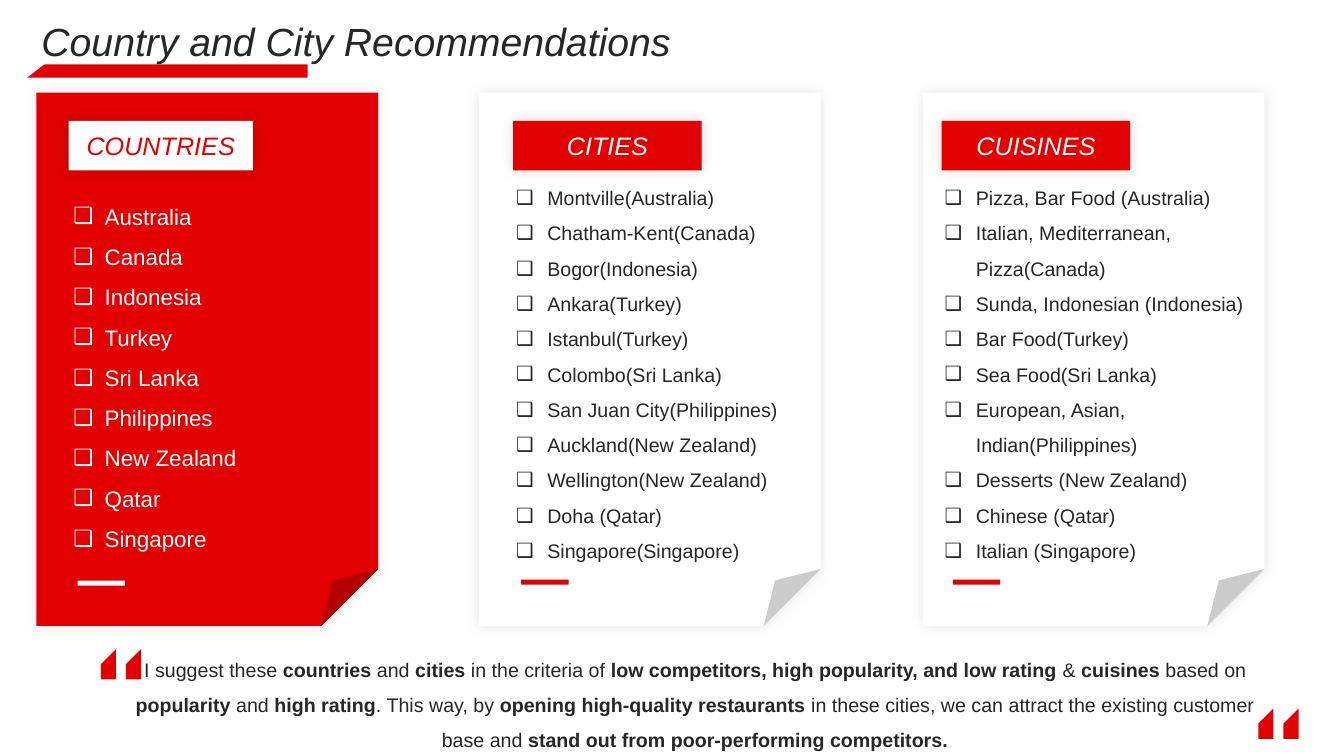
import pptx
import pptx.util
import pptx.dml.color
import pptx.enum.shapes
import pptx.enum.text
import pptx.oxml.ns
from lxml import etree

PX = 9144  # EMU per px, 100 px to the inch
COLORS = {"red": "E20000", "white": "FFFFFF", "ink": "262626", "shadow": "000000"}
FONT = "Arial"
SHAPE = pptx.enum.shapes.MSO_SHAPE
ALIGN = pptx.enum.text.PP_ALIGN
ANCHOR = pptx.enum.text.MSO_ANCHOR

COUNTRIES = ["Australia", "Canada", "Indonesia", "Turkey", "Sri Lanka",
             "Philippines", "New Zealand", "Qatar", "Singapore"]
CITIES = ["Montville(Australia)", "Chatham-Kent(Canada)", "Bogor(Indonesia)",
          "Ankara(Turkey)", "Istanbul(Turkey)", "Colombo(Sri Lanka)",
          "San Juan City(Philippines)", "Auckland(New Zealand)",
          "Wellington(New Zealand)", "Doha (Qatar)", "Singapore(Singapore)"]
CUISINES = ["Pizza, Bar Food (Australia)", "Italian, Mediterranean, Pizza(Canada)",
            "Sunda, Indonesian (Indonesia)", "Bar Food(Turkey)",
            "Sea Food(Sri Lanka)", "European, Asian, Indian(Philippines)",
            "Desserts (New Zealand)", "Chinese (Qatar)", "Italian (Singapore)"]

# Regular and bold runs alternate, starting with regular
SUGGESTION = ["I suggest these ", "countries", " and ", "cities",
              " in the criteria of ",
              "low competitors, high popularity, and low rating ", "&",
              " cuisines ", "based on ", "popularity", " and ", "high rating",
              ". This way, by ", "opening high-quality restaurants ",
              "in these cities, we can attract the existing customer base and",
              " stand out from poor-performing competitors."]


def rgb(name):
    return pptx.dml.color.RGBColor.from_string(COLORS[name])


def px(*lengths):
    return [length * PX for length in lengths]


def format_run(r, size, color, bold=False, italic=False):
    r.font.name = FONT
    r.font.size = pptx.util.Pt(size)
    r.font.color.rgb = rgb(color)
    r.font.bold = bold
    r.font.italic = italic


def paint(sp, color):
    sp.fill.solid()
    sp.fill.fore_color.rgb = rgb(color)
    sp.line.fill.background()
    sp.shadow.inherit = False


def add_shadow(sp, alpha, blur=10):
    effects = sp._element.spPr.find(pptx.oxml.ns.qn("a:effectLst"))
    shadow = etree.SubElement(effects, pptx.oxml.ns.qn("a:outerShdw"),
                              blurRad=str(pptx.util.Pt(blur)), dist="0", dir="0",
                              algn="ctr", rotWithShape="0")
    color = etree.SubElement(shadow, pptx.oxml.ns.qn("a:srgbClr"),
                             val=COLORS["shadow"])
    etree.SubElement(color, pptx.oxml.ns.qn("a:alpha"), val=str(alpha * 1000))


def add_box(s, kind, box, color):
    sp = s.shapes.add_shape(kind, *px(*box))
    paint(sp, color)
    return sp


def add_polygon(s, outlines, color):
    builder = None
    for start, *rest in outlines:
        if builder is None:
            builder = s.shapes.build_freeform(*start, scale=PX)
        else:
            builder.move_to(*start)
        builder.add_line_segments(rest, close=True)
    paint(builder.convert_to_shape(), color)


def add_title(s, text):
    title = s.shapes.title
    title.left, title.top, title.width, title.height = px(27, 12, 652, 57)
    tf = title.text_frame
    tf.text = text
    tf.word_wrap = False
    tf.auto_size = pptx.enum.text.MSO_AUTO_SIZE.NONE
    tf.vertical_anchor = ANCHOR.TOP
    p = tf.paragraphs[0]
    p.alignment = ALIGN.CENTER
    format_run(p.runs[0], 28, "ink", italic=True)


def add_text_box(s, box):
    tf = s.shapes.add_textbox(*px(*box)).text_frame
    tf.word_wrap = True
    return tf


def add_checklist(s, box, items, size, color):
    tf = add_text_box(s, box)
    tf.text = "\n".join(items)
    for p in tf.paragraphs:
        p.line_spacing = 1.5
        format_run(p.runs[0], size, color)
        pPr = p._p.get_or_add_pPr()
        pPr.set("marL", str(31 * PX))
        pPr.set("indent", str(-31 * PX))
        etree.SubElement(pPr, pptx.oxml.ns.qn("a:buFont"), typeface=FONT)
        etree.SubElement(pPr, pptx.oxml.ns.qn("a:buChar"), char="❑")


def add_card(s, left, paper, accent, ink, heading, label, items, size, body, dash):
    page = add_box(s, SHAPE.FOLDED_CORNER, (left, 92, 339, 529), paper)
    add_shadow(page, 10)
    add_checklist(s, body, items, size, ink)
    add_box(s, SHAPE.RECTANGLE, (*dash, 47, 5), accent)

    tag_left, tag_width = label
    tag = add_box(s, SHAPE.RECTANGLE, (tag_left, 120, tag_width, 49), accent)
    add_shadow(tag, 15)
    tf = tag.text_frame
    tf.text = heading
    tf.vertical_anchor = ANCHOR.MIDDLE
    p = tf.paragraphs[0]
    p.alignment = ALIGN.CENTER
    format_run(p.runs[0], 18, "red" if accent == "white" else "white", italic=True)


def add_suggestion(s):
    p = add_text_box(s, (122, 636, 1135, 115)).paragraphs[0]
    p.alignment = ALIGN.CENTER
    p.line_spacing = 1.5
    for i, text in enumerate(SUGGESTION):
        r = p.add_run()
        r.text = text
        format_run(r, 14, "ink", bold=i % 2 == 1)


def add_quote_mark(s, left, top):
    add_polygon(s, [[(x + 15, top), (x + 15, top + 30), (x, top + 30), (x, top + 15)]
                    for x in (left + 25, left)], "red")


def main():
    prs = pptx.Presentation()
    prs.slide_width, prs.slide_height = px(1333, 750)
    s = prs.slides.add_slide(prs.slide_layouts[5])

    # Title and its slanted underline
    add_title(s, "Country and City Recommendations")
    add_polygon(s, [[(44, 64), (27, 77), (305, 77), (305, 64)]], "red")

    # Three folded cards
    add_card(s, 36, "red", "white", "white", "COUNTRIES", (68, 183),
             COUNTRIES, 16, (63, 183, 275, 369), (77, 576))
    add_card(s, 475, "white", "red", "ink", "CITIES", (509, 187),
             CITIES, 14, (502, 168, 305, 434), (517, 575))
    add_card(s, 915, "white", "red", "ink", "CUISINES", (934, 187),
             CUISINES, 14, (927, 168, 321, 430), (945, 575))

    # Quoted suggestion
    add_suggestion(s)
    add_quote_mark(s, 100, 644)
    add_quote_mark(s, 1248, 703)

    prs.save("out.pptx")


if __name__ == "__main__":
    main()
